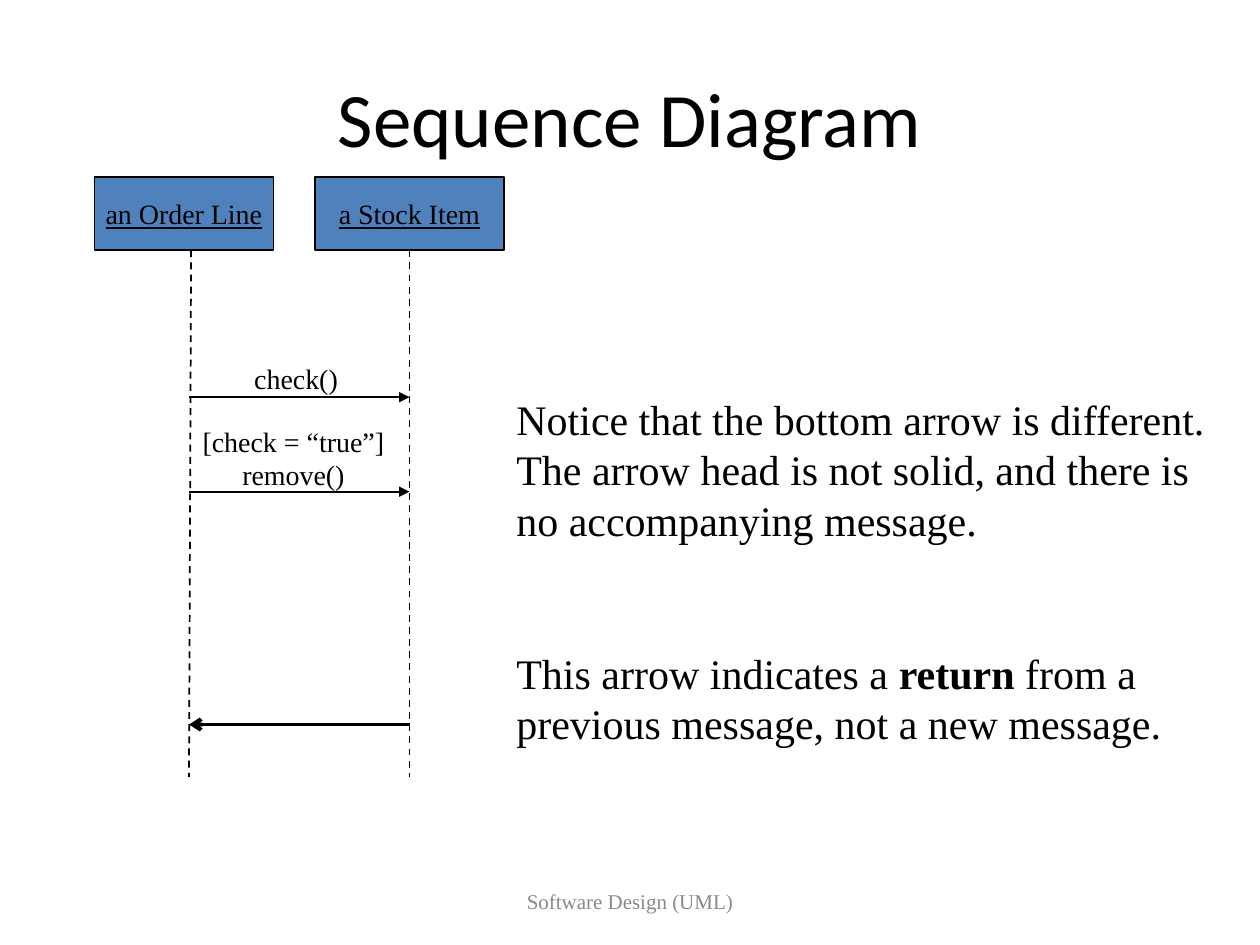
"""Build the sequence diagram slide about return arrows."""
from lxml import etree
from pptx import Presentation
from pptx import util as u
from pptx.dml.color import RGBColor
from pptx.enum import dml, shapes, text
from pptx.oxml import ns

Pt = u.Pt
BLACK = RGBColor(0, 0, 0)
BLUE = RGBColor(0x4F, 0x81, 0xBD)
GRAY = RGBColor(0x89, 0x89, 0x89)
MID = text.MSO_ANCHOR.MIDDLE
TOP = text.MSO_ANCHOR.TOP
LEFT = text.PP_ALIGN.LEFT
CENTER = text.PP_ALIGN.CENTER


def write(shape, paras, size=16, font="Times New Roman", color=BLACK, line=False,
          align=CENTER, anchor=MID, wrap=False, gap=0):
    frame = shape.text_frame
    frame.word_wrap = wrap
    frame.vertical_anchor = anchor
    for i, runs in enumerate(paras):
        para = frame.add_paragraph() if i else frame.paragraphs[0]
        para.alignment = align
        para.space_before = Pt(gap if i else 0)
        for j, words in enumerate(runs):
            run = para.add_run()
            run.text = words
            run.font.name = font
            run.font.size = Pt(size)
            run.font.color.rgb = color
            run.font.underline = line
            run.font.bold = j % 2 == 1


def draw(x1, y1, x2, y2, width=1, dash=False, head=None):
    link = slide.shapes.add_connector(
        shapes.MSO_CONNECTOR.STRAIGHT, Pt(x1), Pt(y1), Pt(x2), Pt(y2))
    link.line.color.rgb = BLACK
    link.line.width = Pt(width)
    if dash:
        link.line.dash_style = dml.MSO_LINE.DASH
    if head:
        etree.SubElement(link._element.spPr.get_or_add_ln(), ns.qn("a:tailEnd"), type=head)
    etree.SubElement(link._element.spPr, ns.qn("a:effectLst"))


deck = Presentation()
deck.slide_width, deck.slide_height = Pt(720), Pt(540)
slide = deck.slides.add_slide(deck.slide_layouts[5])

title = slide.shapes.title
title.left, title.top, title.width, title.height = Pt(36), Pt(21.6), Pt(648), Pt(90)
write(title, [["Sequence Diagram"]], size=44, font="Calibri", wrap=True)

for name, left, width in (("an Order Line", 54, 102.24), ("a Stock Item", 180, 108)):
    box = slide.shapes.add_shape(
        shapes.MSO_SHAPE.RECTANGLE, Pt(left), Pt(101), Pt(width), Pt(42))
    box.shadow.inherit = False
    box.fill.solid()
    box.fill.fore_color.rgb = BLUE
    box.line.color.rgb = BLACK
    box.line.width = Pt(1)
    write(box, [[name]], line=True)

order, stock = 108, 234
for top, foot in ((109.2, order), (stock, stock)):
    draw(top, 143, foot, 444, dash=True)
for y in (227, 281):
    draw(order, y, stock, y, head="triangle")
draw(stock, 414, order, 414, width=2.25, head="arrow")

notes = [
    ["Notice that the bottom arrow is different. The arrow head is not solid, "
     "and there is no accompanying message."],
    ["This arrow indicates a ", "return", " from a previous message, not a new message."],
]
for left, top, width, height, paras, form in (
    (246, 500.4, 228, 28.8, [["Software Design (UML)"]],
     dict(size=12, color=GRAY, wrap=True)),
    (106.7, 239, 122, 46, [["[check = “true”]"], ["remove()"]], dict(anchor=TOP)),
    (136.2, 203, 66, 26.6, [["check()"]], dict(anchor=TOP)),
    (288, 221, 408.24, 210.2, notes, dict(size=24, align=LEFT, wrap=True, gap=58.8)),
):
    area = slide.shapes.add_textbox(Pt(left), Pt(top), Pt(width), Pt(height))
    write(area, paras, **form)

deck.save("out.pptx")
